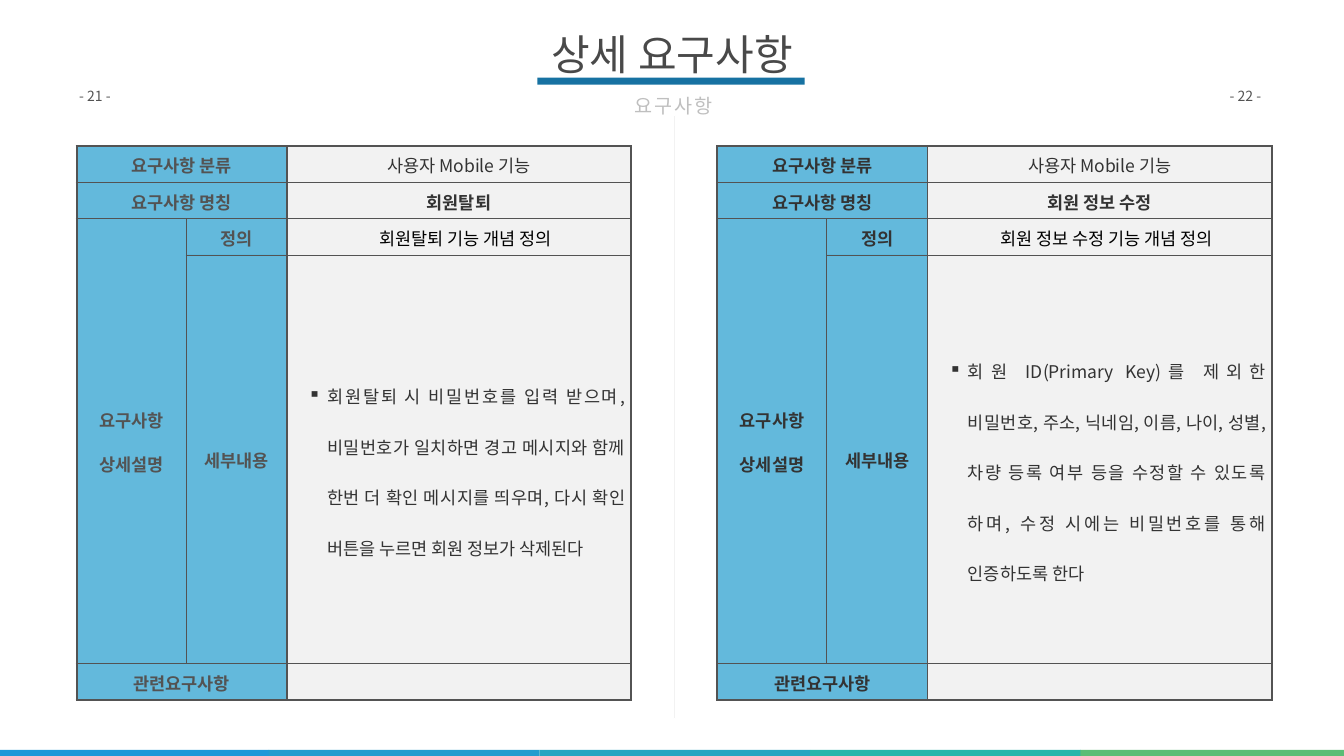
"""Build the detailed requirements slide with two requirement tables."""
from dataclasses import dataclass

from lxml.etree import SubElement
from pptx import Presentation
from pptx.dml.color import RGBColor
from pptx.enum.shapes import MSO_SHAPE as Shape
from pptx.enum.text import MSO_ANCHOR as Anchor, MSO_AUTO_SIZE as AutoSize, PP_ALIGN as Align
from pptx.oxml import parse_xml
from pptx.oxml.ns import nsdecls, qn
from pptx.util import Pt


@dataclass(frozen=True)
class Theme:
    font: str = "Noto Sans CJK KR"
    title: str = "494949"
    subtitle: str = "BFBFBF"
    accent: str = "1772A2"
    label: str = "229CCE"
    panel: str = "F2F2F2"
    border: str = "535353"
    muted: str = "535353"
    dark: str = "333333"
    black: str = "000000"
    white: str = "FFFFFF"
    title_size: int = 60
    subtitle_size: int = 28
    table_size: int = 25
    number_size: int = 20
    outer: float = 3
    middle: float = 2.25
    inner: float = 1


THEME = Theme()
PX = 9144
PAGE_SIZE = (2666, 1500)
TITLE, SUBTITLE = "상세 요구사항", "요구사항"
STRIPES = ["1F98D8", "229CCE", "27A5C1", "24B6AB", "5BBD76"]
COLUMNS = [217, 200, 683]
ROWS = [72, 72, 72, 811, 72]
TABLE_TOP = 290
LABELS = [
    (0, 0, 1, 2, "요구사항 분류"),
    (1, 0, 1, 2, "요구사항 명칭"),
    (2, 0, 2, 1, "요구사항\n상세설명"),
    (2, 1, 1, 1, "정의"),
    (3, 1, 1, 1, "세부내용"),
    (4, 0, 1, 2, "관련요구사항"),
]
REQUIREMENTS = [
    dict(left=152, label_color=THEME.muted, number="- 21 -", number_box=(152, 168, 94, 44),
         name="회원탈퇴", definition="회원탈퇴 기능 개념 정의",
         detail="회원탈퇴 시 비밀번호를 입력 받으며, 비밀번호가 일치하면 경고 메시지와 함께 "
                "한번 더 확인 메시지를 띄우며, 다시 확인 버튼을 누르면 회원 정보가 삭제된다"),
    dict(left=1423, label_color=THEME.dark, number="- 22 -", number_box=(2434, 168, 90, 44),
         name="회원 정보 수정", definition="회원 정보 수정 기능 개념 정의",
         detail="회원 ID(Primary Key)를 제외한 비밀번호, 주소, 닉네임, 이름, 나이, 성별, "
                "차량 등록 여부 등을 수정할 수 있도록 하며, 수정 시에는 비밀번호를 통해 인증하도록 한다"),
]
CATEGORY = "사용자 Mobile 기능"


def scaled(*lengths):
    return [round(length * PX) for length in lengths]


def style_text(frame, size, color, bold=False, align=None):
    for para in frame.paragraphs:
        para.alignment = align
        for span in para.runs:
            span.font.size, span.font.bold = Pt(size), bold
            span.font.color.rgb = RGBColor.from_string(color)
            span.font.name = THEME.font
            SubElement(span.font._element, qn("a:ea"), typeface=THEME.font)


def set_margins(target, left, top, right, bottom):
    (target.margin_left, target.margin_top,
     target.margin_right, target.margin_bottom) = scaled(left, top, right, bottom)


def add_bar(page, box, color, line=None):
    bar = page.shapes.add_shape(Shape.RECTANGLE, *scaled(*box))
    bar.shadow.inherit = False
    bar.fill.solid()
    bar.fill.fore_color.rgb = RGBColor.from_string(color)
    if line:
        bar.line.color.rgb = RGBColor.from_string(line)
        bar.line.width = Pt(1)
    else:
        bar.line.fill.background()
    return bar


def add_text(page, box, text, size, color, margins, align=None, wrap=True, anchor=Anchor.TOP):
    frame = page.shapes.add_textbox(*scaled(*box)).text_frame
    frame.word_wrap, frame.vertical_anchor = wrap, anchor
    frame.auto_size = AutoSize.SHAPE_TO_FIT_TEXT
    set_margins(frame, *margins)
    frame.text = text
    style_text(frame, size, color, align=align)
    return frame


def set_fill(cell, color, opacity=None):
    cell.fill.solid()
    cell.fill.fore_color.rgb = RGBColor.from_string(color)
    if opacity:
        rgb = cell._tc.tcPr.find(".//" + qn("a:srgbClr"))
        SubElement(rgb, qn("a:alpha"), val=str(opacity * 1000))


def set_borders(cell, row, column):
    across = [THEME.outer, THEME.inner, THEME.middle, THEME.outer]
    down = [THEME.outer] + [THEME.inner] * (len(ROWS) - 1) + [THEME.outer]
    right = column + (cell.span_width if cell.is_merge_origin else 1)
    bottom = row + (cell.span_height if cell.is_merge_origin else 1)
    edges = {"lnL": across[column], "lnR": across[right], "lnT": down[row], "lnB": down[bottom]}
    for index, (edge, width) in enumerate(edges.items()):
        cell._tc.get_or_add_tcPr().insert(index, parse_xml(
            f'<a:{edge} {nsdecls("a")} w="{Pt(width)}"><a:solidFill>'
            f'<a:srgbClr val="{THEME.border}"/></a:solidFill></a:{edge}>'))


def write_cell(cell, text, color, bold=False, indent=(0, 0), bullet=None):
    cell.text = text
    cell.vertical_anchor = Anchor.MIDDLE
    set_margins(cell, 1, 1, 12 if bullet else 1, 1)
    style_text(cell.text_frame, THEME.table_size, color, bold,
               Align.JUSTIFY if bullet else Align.CENTER)
    for para in cell.text_frame.paragraphs:
        para.line_spacing = 2.0 if bullet else 1.07
        if not bullet:
            para.space_before = para.space_after = Pt(12)
        properties = para._p.get_or_add_pPr()
        for key, length in zip(("marL", "indent"), scaled(*indent)):
            properties.set(key, str(length))
        if bullet:
            SubElement(properties, qn("a:buChar"), char=bullet)


def add_requirement(page, item):
    table = page.shapes.add_table(
        len(ROWS), len(COLUMNS), *scaled(item["left"], TABLE_TOP, sum(COLUMNS), sum(ROWS))).table
    table.first_row = table.horz_banding = False
    for column, width in zip(table.columns, scaled(*COLUMNS)):
        column.width = width
    for row, height in zip(table.rows, scaled(*ROWS)):
        row.height = height
    for row, column, tall, wide, text in LABELS:
        cell = table.cell(row, column)
        if tall * wide > 1:
            cell.merge(table.cell(row + tall - 1, column + wide - 1))
        write_cell(cell, text, item["label_color"], bold=True)
    values = [
        dict(text=CATEGORY, color=THEME.dark),
        dict(text=item["name"], color=THEME.dark, bold=True, indent=(19, -19)),
        dict(text=item["definition"], color=THEME.black, indent=(47, -21)),
        dict(text=item["detail"], color=THEME.dark, indent=(79, -38), bullet="▪"),
    ]
    for row, value in enumerate(values):
        write_cell(table.cell(row, 2), **value)
    for row in range(len(ROWS)):
        for column in range(len(COLUMNS)):
            cell = table.cell(row, column)
            if column == 2:
                set_fill(cell, THEME.panel)
            else:
                set_fill(cell, THEME.label, opacity=70)
            set_borders(cell, row, column)


def main():
    deck = Presentation()
    deck.slide_width, deck.slide_height = scaled(*PAGE_SIZE)
    page = deck.slides.add_slide(deck.slide_layouts[6])
    for index, color in enumerate(STRIPES):
        add_bar(page, (round(536.5 * index) - 3, 1488, 537, 20), color)
    divider = add_bar(page, (740, 825, 1196, 5), THEME.panel, line=THEME.white)
    divider.rotation = 90
    for item in REQUIREMENTS:
        add_requirement(page, item)
        add_text(page, item["number_box"], item["number"], THEME.number_size, THEME.muted, (5,) * 4)
    add_text(page, (1053, 44, 560, 124), TITLE, THEME.title_size, THEME.title, (12,) * 4,
             Align.CENTER, anchor=Anchor.MIDDLE)
    add_bar(page, (1066, 154, 530, 14), THEME.accent)
    subtitle = add_text(page, (1233, 165, 205, 78), SUBTITLE, THEME.subtitle_size, THEME.subtitle,
                        (24, 12, 24, 12), Align.CENTER, wrap=False)
    para = subtitle.paragraphs[0]
    para.line_spacing, para.space_before = 1.2, Pt(6)
    para.runs[0].font._element.set("spc", "300")
    deck.save("out.pptx")


if __name__ == "__main__":
    main()
